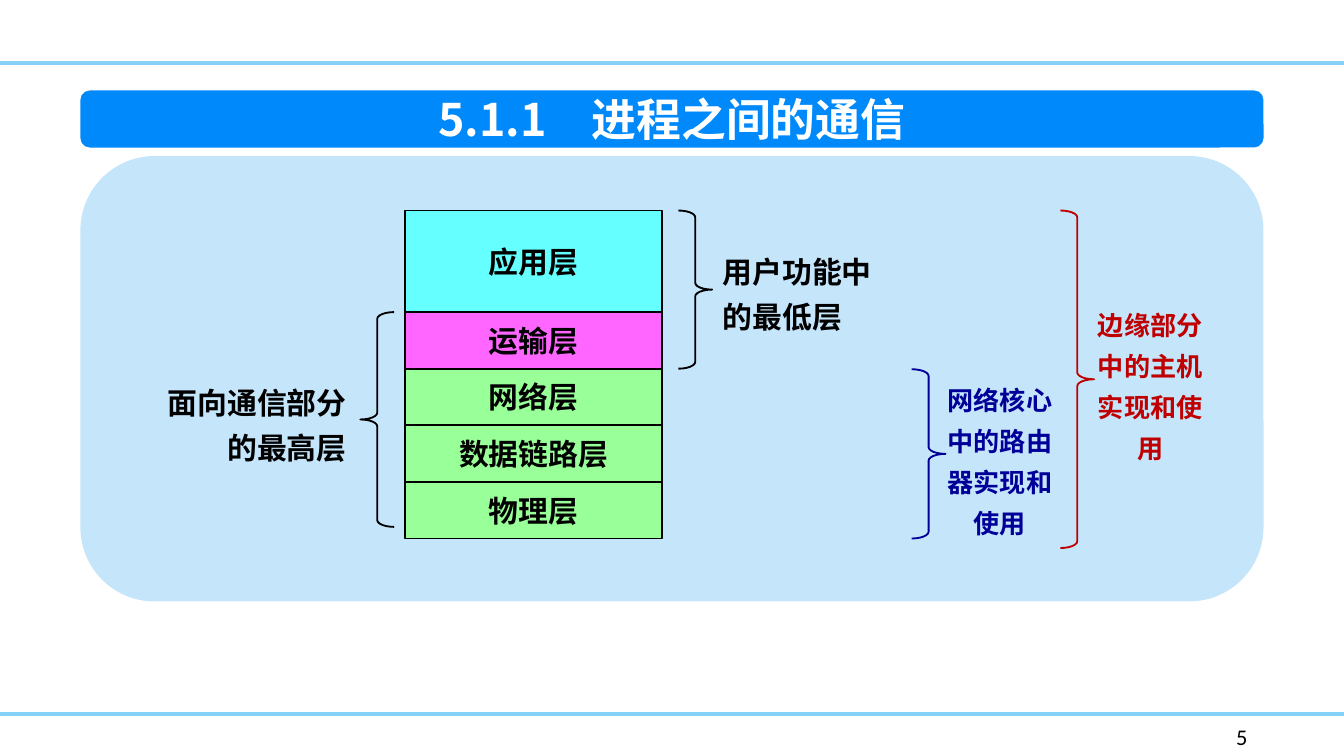
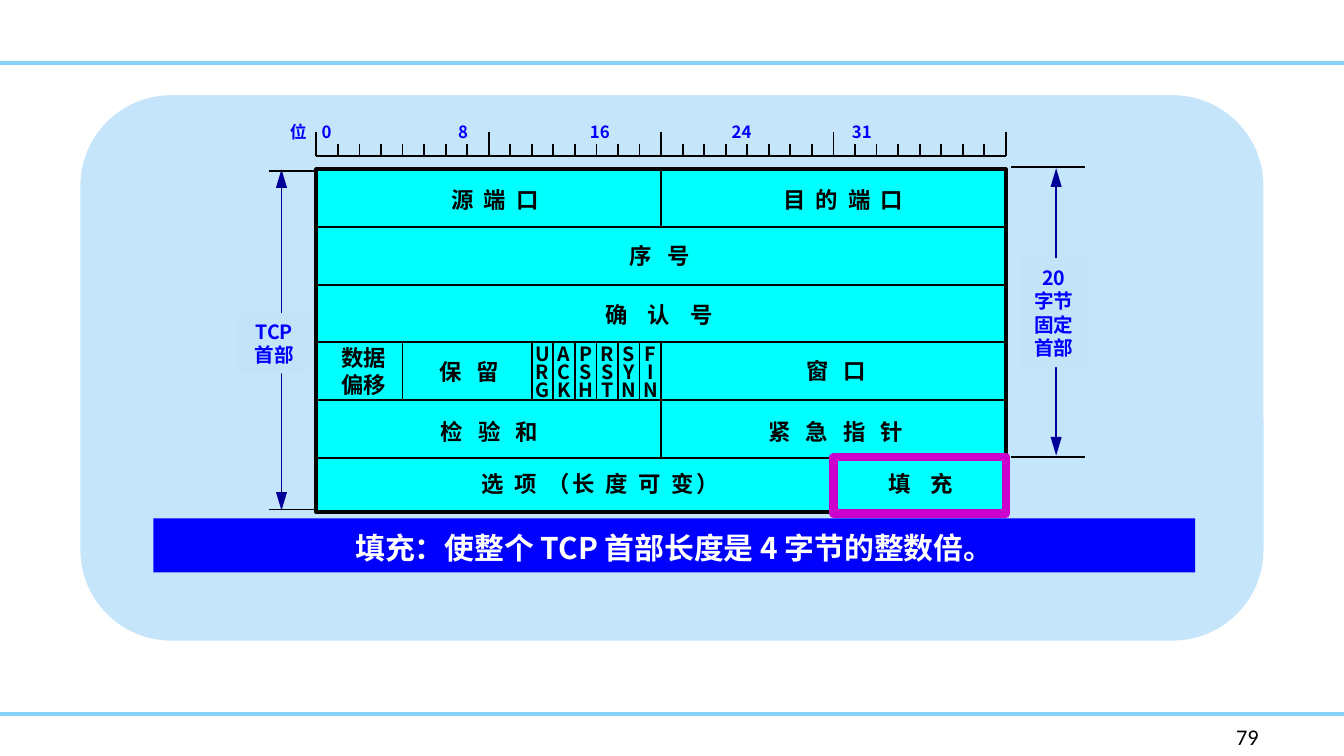
from lxml import etree
from pptx import Presentation
from pptx import util as u
from pptx.dml.color import RGBColor
from pptx.enum import shapes, text
from pptx.oxml import ns

SANS = "Noto Sans CJK SC"
BLACK, WHITE = "000000", "FFFFFF"
NAVY, RED, BLUE = "000099", "C00000", "0000FF"
RULE, PANEL, BANNER, TAG = "85D1F7", "C5E5FB", "0089FA", "C3E3F9"
CYAN, MAGENTA = "00FFFF", "CC00CC"

CENTER, LEFT, RIGHT = (
    text.PP_ALIGN.CENTER,
    text.PP_ALIGN.LEFT,
    text.PP_ALIGN.RIGHT,
)
MIDDLE, TOP = text.MSO_ANCHOR.MIDDLE, text.MSO_ANCHOR.TOP
RECT = shapes.MSO_SHAPE.RECTANGLE
ROUNDED = shapes.MSO_SHAPE.ROUNDED_RECTANGLE
RIGHT_BRACE = shapes.MSO_SHAPE.RIGHT_BRACE
LEFT_BRACE = shapes.MSO_SHAPE.LEFT_BRACE


def rgb(value):
    return RGBColor.from_string(value)


def write(frame, content, *, size=12, color=BLACK, bold=True, font=SANS,
          align=LEFT, anchor=TOP, wrap=True, leading=None, tracking=0, tabs=()):
    frame.word_wrap = wrap
    frame.vertical_anchor = anchor
    for index, line in enumerate(content.split("\n")):
        paragraph = frame.add_paragraph() if index else frame.paragraphs[0]
        paragraph.alignment = align
        if leading:
            paragraph.line_spacing = leading
        if tabs:
            tab_list = etree.SubElement(paragraph._p.get_or_add_pPr(), ns.qn("a:tabLst"))
            for tab in tabs:
                etree.SubElement(tab_list, ns.qn("a:tab"), pos=str(u.Cm(tab)), algn="l")
        run = paragraph.add_run()
        run.text = line
        run.font.size = u.Pt(size)
        run.font.bold = bold
        run.font.color.rgb = rgb(color)
        run.font.name = font
        properties = run.font._element
        etree.SubElement(properties, ns.qn("a:ea"), typeface=font)
        if tracking:
            properties.set("spc", str(round(tracking * 100)))


class Deck:
    def __init__(self):
        self.presentation = Presentation()
        self.presentation.slide_width = u.Cm(25.4)
        self.presentation.slide_height = u.Cm(14.29)
        self.slide = None

    def new_slide(self, number, panel_top, panel_height):
        self.slide = self.presentation.slides.add_slide(self.presentation.slide_layouts[6])
        for y in (1.19, 13.49):
            self.line(0, y, 25.4, y, color=RULE, width=2)
        self.shape(ROUNDED, 1.52, panel_top, 22.36, panel_height, fill=PANEL)
        self.label(number, 23.11, 13.54, 1.93, 0.76, font="Calibri", bold=False)

    def title(self, content):
        self.shape(ROUNDED, 1.52, 1.71, 22.36, 1.08, content, fill=BANNER,
                   size=24, color=WHITE, wrap=False)

    def shape(self, kind, x, y, width, height, content="", *, fill=None,
              outline=None, weight=1, **style):
        shape = self.slide.shapes.add_shape(
            kind, u.Cm(x), u.Cm(y), u.Cm(width), u.Cm(height))
        shape.shadow.inherit = False
        if fill:
            shape.fill.solid()
            shape.fill.fore_color.rgb = rgb(fill)
        else:
            shape.fill.background()
        if outline:
            shape.line.color.rgb = rgb(outline)
            shape.line.width = u.Pt(weight)
        else:
            shape.line.fill.background()
        if content:
            write(shape.text_frame, content, **{"align": CENTER, "anchor": MIDDLE, **style})
        return shape

    def brace(self, kind, x, y, height, color):
        brace = self.shape(kind, x, y, 0.64, height, outline=color)
        brace.adjustments[0] = 0.2

    def label(self, content, x, y, width, height, **style):
        box = self.slide.shapes.add_textbox(u.Cm(x), u.Cm(y), u.Cm(width), u.Cm(height))
        write(box.text_frame, content, **style)
        box.text_frame.auto_size = text.MSO_AUTO_SIZE.SHAPE_TO_FIT_TEXT

    def line(self, x1, y1, x2, y2, *, color=BLACK, width=1, arrows=False):
        line = self.slide.shapes.add_connector(
            shapes.MSO_CONNECTOR.STRAIGHT, u.Cm(x1), u.Cm(y1), u.Cm(x2), u.Cm(y2))
        line.line.color.rgb = rgb(color)
        line.line.width = u.Pt(width)
        if arrows:
            for end in ("a:headEnd", "a:tailEnd"):
                etree.SubElement(line.line._get_or_add_ln(), ns.qn(end),
                                 type="triangle", w="med", len="lg")
        etree.SubElement(line._element.spPr, ns.qn("a:effectLst"))


def build_layers(deck):
    deck.new_slide("5", 2.95, 8.42)
    deck.title("5.1.1　进程之间的通信")

    y = 3.98
    for name, height, fill in (
        ("应用层", 1.92, "66FFFF"),
        ("运输层", 1.07, "FF66FF"),
        ("网络层", 1.07, "99FF99"),
        ("数据链路层", 1.07, "99FF99"),
        ("物理层", 1.07, "99FF99"),
    ):
        deck.shape(RECT, 7.65, y, 4.87, height, name, fill=fill, outline=BLACK, size=16)
        y += height

    for kind, x, y, height, color in (
        (RIGHT_BRACE, 12.82, 3.98, 2.99, BLACK),
        (LEFT_BRACE, 6.81, 5.9, 4.06, BLACK),
        (RIGHT_BRACE, 17.23, 6.98, 3.2, NAVY),
        (RIGHT_BRACE, 20.04, 3.98, 6.38, RED),
    ):
        deck.brace(kind, x, y, height, color)

    large = {"size": 16, "leading": u.Pt(24)}
    small = {"size": 14, "leading": u.Pt(22), "align": CENTER}
    deck.label("用户功能中的最低层", 13.41, 4.5, 3.81, 1.96, **large)
    deck.label("面向通信部分的最高层", 2.84, 6.98, 3.96, 1.96, align=RIGHT, **large)
    deck.label("网络核心中的路由器实现和使用", 17.58, 6.96, 2.64, 3.4, color=NAVY, **small)
    deck.label("边缘部分中的主机\n实现和使用", 20.42, 5.54, 2.64, 3.4, color=RED, **small)


def build_header(deck):
    left, top, width, row = 5.98, 3.2, 13.03, 1.09
    bit = width / 32
    right = left + width
    deck.new_slide("79", 1.8, 10.31)

    deck.line(5.32, 3.2, 5.32, 9.65, color=NAVY, arrows=True)
    deck.line(19.96, 3.18, 19.96, 8.61, color=NAVY, arrows=True)
    tag = {"fill": TAG, "size": 10.5, "color": BLUE}
    deck.shape(RECT, 4.5, 5.92, 1.37, 1.14, "TCP 首部", **tag)
    deck.shape(RECT, 19.3, 4.88, 1.24, 2.06, "20\n字节\n固定\n首部", wrap=False, **tag)
    for x1, x2, y in ((5.08, left, 3.23), (5.08, left, 9.63),
                      (19.1, 20.5, 3.15), (19.1, 20.5, 8.64)):
        deck.line(x1, y, x2, y)

    deck.shape(RECT, left, top, width, 6 * row - 0.06, fill=CYAN, outline=BLACK, weight=2)
    for index in range(1, 6):
        deck.line(left, top + index * row, right, top + index * row)
    flag_edges = [(column, 3, 4) for column in range(10, 16)]
    for column, first, last in [(16, 0, 1), (16, 3, 5), (4, 3, 4), *flag_edges]:
        x = left + column * bit
        deck.line(x, top + first * row, x, top + last * row)

    for content, x, y, box_width, tracking, align in (
        ("源 端 口", 8.28, 3.4, 2.31, 1.35, LEFT),
        ("目 的 端 口", 14.55, 3.4, 3, 1.35, LEFT),
        ("序 号", 11.3, 4.45, 2.34, 2.7, CENTER),
        ("确 认 号", 10.9, 5.56, 3.12, 4.05, CENTER),
        ("保 留", 8.05, 6.65, 1.75, 2.7, LEFT),
        ("窗 口", 14.99, 6.63, 1.75, 2.7, LEFT),
        ("检 验 和", 8.08, 7.77, 2.57, 2.7, LEFT),
        ("紧 急 指 针", 14.27, 7.77, 3.38, 2.7, LEFT),
        ("选 项 （长 度 可 变）", 8.43, 8.76, 5.84, 1.5, CENTER),
        ("填 充", 16.54, 8.76, 2.13, 4.05, LEFT),
    ):
        deck.label(content, x, y, box_width, 0.76, tracking=tracking, align=align, wrap=False)
    deck.label("数据\n偏移", 6.2, 6.38, 1.37, 1.27, wrap=False)
    for column, flag in enumerate(("URG", "ACK", "PSH", "RST", "SYN", "FIN"), 10):
        deck.label("\n".join(flag), left + (column + 0.5) * bit - 0.4, 6.45, 0.8, 1.3,
                   size=10.5, leading=0.75, align=CENTER, wrap=False)

    deck.shape(RECT, 2.9, 9.8, 19.69, 1.02, "填充：使整个 TCP 首部长度是 4 字节的整数倍。",
               fill=BLUE, size=16, color=WHITE, leading=1.1)
    deck.shape(RECT, left + 24 * bit, 8.64, 8 * bit, 1.07, outline=MAGENTA, weight=4.5)

    deck.line(left, 2.95, right, 2.95)
    for tick in range(33):
        x = left + tick * bit
        deck.line(x, 2.72 if tick % 8 else 2.49, x, 2.95)
    deck.label("位\t0\t8\t16\t24\t31", 5.23, 2.18, 14.17, 0.64, size=9, color=BLUE,
               tabs=(0.6, 3.18, 5.67, 8.35, 10.62))


def main():
    deck = Deck()
    build_layers(deck)
    build_header(deck)
    deck.presentation.save("out.pptx")


if __name__ == "__main__":
    main()
